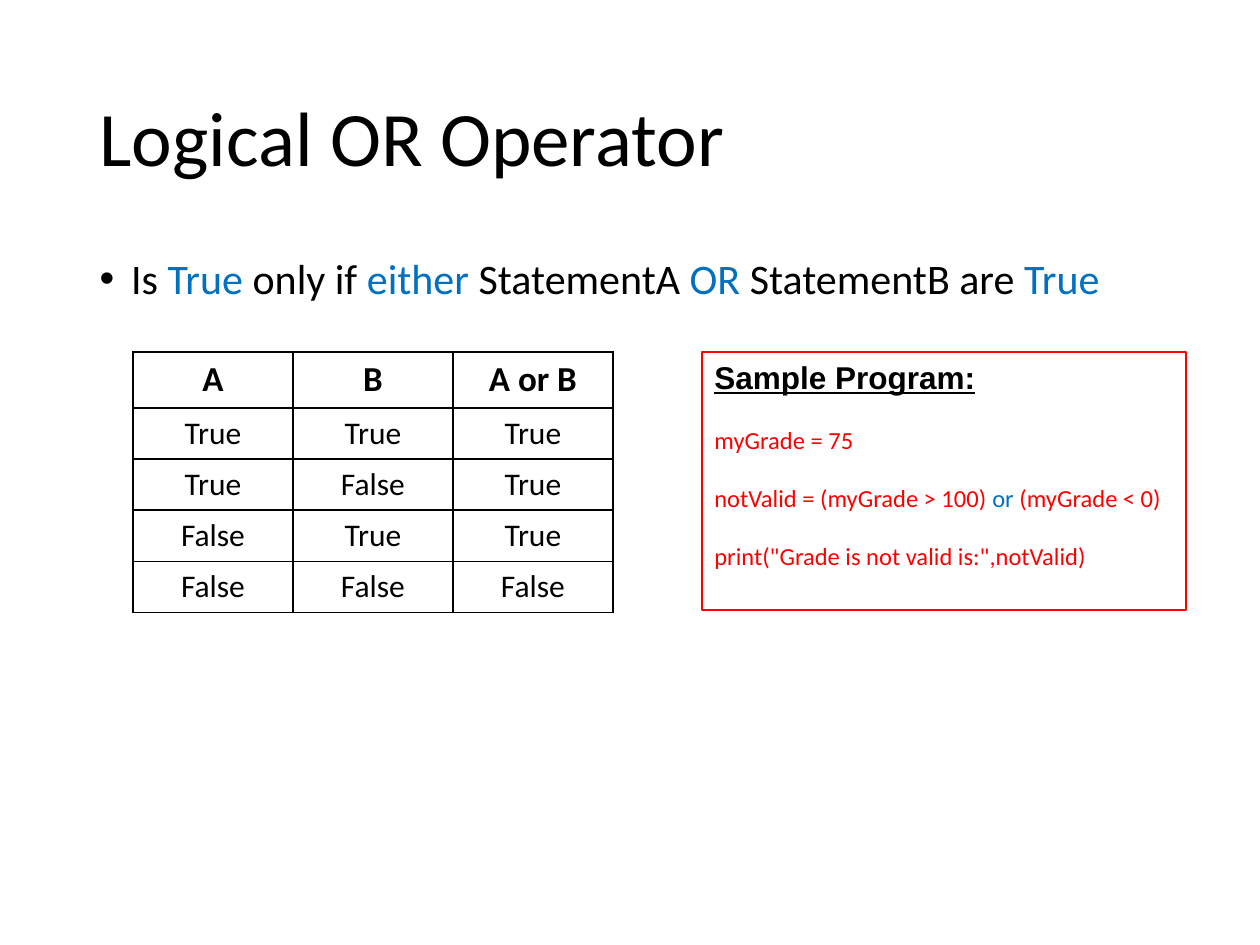
import dataclasses
import typing

import lxml.etree
import pptx
import pptx.dml.color
import pptx.enum.text
import pptx.oxml.ns
import pptx.util

SCALE = 914400 / 126
BLACK, BLUE, RED = "000000", "0070C0", "FF0000"
ALIGN = pptx.enum.text.PP_ALIGN
ANCHOR = pptx.enum.text.MSO_ANCHOR


@dataclasses.dataclass
class Span:
    text: str
    color: str = BLACK


@dataclasses.dataclass
class Style:
    size: int
    face: str = "Calibri"
    bold: bool = False
    under: bool = False


@dataclasses.dataclass
class Line:
    spans: list[Span]
    style: Style
    gap: float = 0


def px(count: int) -> int:
    return round(count * SCALE)


def paint(code: str) -> pptx.dml.color.RGBColor:
    return pptx.dml.color.RGBColor.from_string(code)


def place(shape: typing.Any, left: int, top: int, width: int, height: int) -> None:
    shape.left, shape.top = px(left), px(top)
    shape.width, shape.height = px(width), px(height)


def write(para: typing.Any, line: Line) -> None:
    style = line.style
    para.space_before = pptx.util.Pt(line.gap)
    for span in line.spans:
        run = para.add_run()
        run.text = span.text
        font = run.font
        font.name, font.size = style.face, pptx.util.Pt(style.size)
        font.bold, font.underline = style.bold, style.under
        font.color.rgb = paint(span.color)


def border(cell: typing.Any) -> None:
    props = cell._tc.get_or_add_tcPr()
    tag = pptx.oxml.ns.qn
    for spot, side in enumerate(("a:lnL", "a:lnR", "a:lnT", "a:lnB")):
        edge = lxml.etree.Element(tag(side), w=str(pptx.util.Pt(1)))
        fill = lxml.etree.SubElement(edge, tag("a:solidFill"))
        lxml.etree.SubElement(fill, tag("a:srgbClr"), val=BLACK)
        props.insert(spot, edge)


def add_title(slide: typing.Any) -> None:
    title = slide.shapes.title
    place(title, 87, 50, 1086, 183)
    title.text_frame.vertical_anchor = ANCHOR.MIDDLE
    para = title.text_frame.paragraphs[0]
    para.alignment, para.line_spacing = ALIGN.LEFT, 0.9
    write(para, Line([Span("Logical OR Operator")], Style(44)))


def add_body(slide: typing.Any) -> None:
    body = slide.placeholders[1]
    place(body, 87, 252, 1086, 600)
    para = body.text_frame.paragraphs[0]
    props = para._p.get_or_add_pPr()
    props.set("marL", str(pptx.util.Inches(0.25)))
    props.set("indent", str(pptx.util.Inches(-0.25)))
    bullet = lxml.etree.SubElement(props, pptx.oxml.ns.qn("a:buChar"))
    bullet.set("char", "•")
    para.line_spacing = 0.9
    spans = [
        Span("Is "), Span("True", BLUE), Span(" only if "), Span("either ", BLUE),
        Span("StatementA "), Span("OR ", BLUE), Span("StatementB are "), Span("True", BLUE),
    ]
    write(para, Line(spans, Style(24)))


def add_truth(slide: typing.Any) -> None:
    pairs = [(a, b) for a in (True, False) for b in (True, False)]
    rows = [("A", "B", "A or B")] + [(str(a), str(b), str(a or b)) for a, b in pairs]
    frame = slide.shapes.add_table(len(rows), 3, px(133), px(352), px(480), px(260))
    table = frame.table
    table.first_row = table.horz_banding = False
    for col in table.columns:
        col.width = px(160)
    for i, row in enumerate(rows):
        table.rows[i].height = px(51 if i else 56)
        style = Style(18) if i else Style(20, bold=True)
        for j, word in enumerate(row):
            cell = table.cell(i, j)
            cell.fill.background()
            border(cell)
            para = cell.text_frame.paragraphs[0]
            para.alignment = ALIGN.CENTER
            write(para, Line([Span(word)], style))


def add_sample(slide: typing.Any) -> None:
    box = slide.shapes.add_textbox(0, 0, 0, 0)
    place(box, 702, 352, 484, 258)
    box.line.color.rgb = paint(RED)
    box.line.width = pptx.util.Pt(0.75)
    frame = box.text_frame
    frame.word_wrap = True
    code = Style(14)
    lines = [
        Line([Span("Sample Program:")], Style(18, "Arial", True, True)),
        Line([Span("myGrade = 75", RED)], code, 16.5),
        Line([Span("notValid = (myGrade > 100) ", RED), Span("or", BLUE),
              Span(" (myGrade < 0)", RED)], code, 16.5),
        Line([Span('print("Grade is not valid is:",notValid)', RED)], code, 16.5),
    ]
    for i, line in enumerate(lines):
        write(frame.add_paragraph() if i else frame.paragraphs[0], line)


def main() -> None:
    deck = pptx.Presentation()
    deck.slide_width, deck.slide_height = px(1260), px(945)
    slide = deck.slides.add_slide(deck.slide_layouts[1])
    for draw in (add_title, add_body, add_truth, add_sample):
        draw(slide)
    deck.save("out.pptx")


if __name__ == "__main__":
    main()
